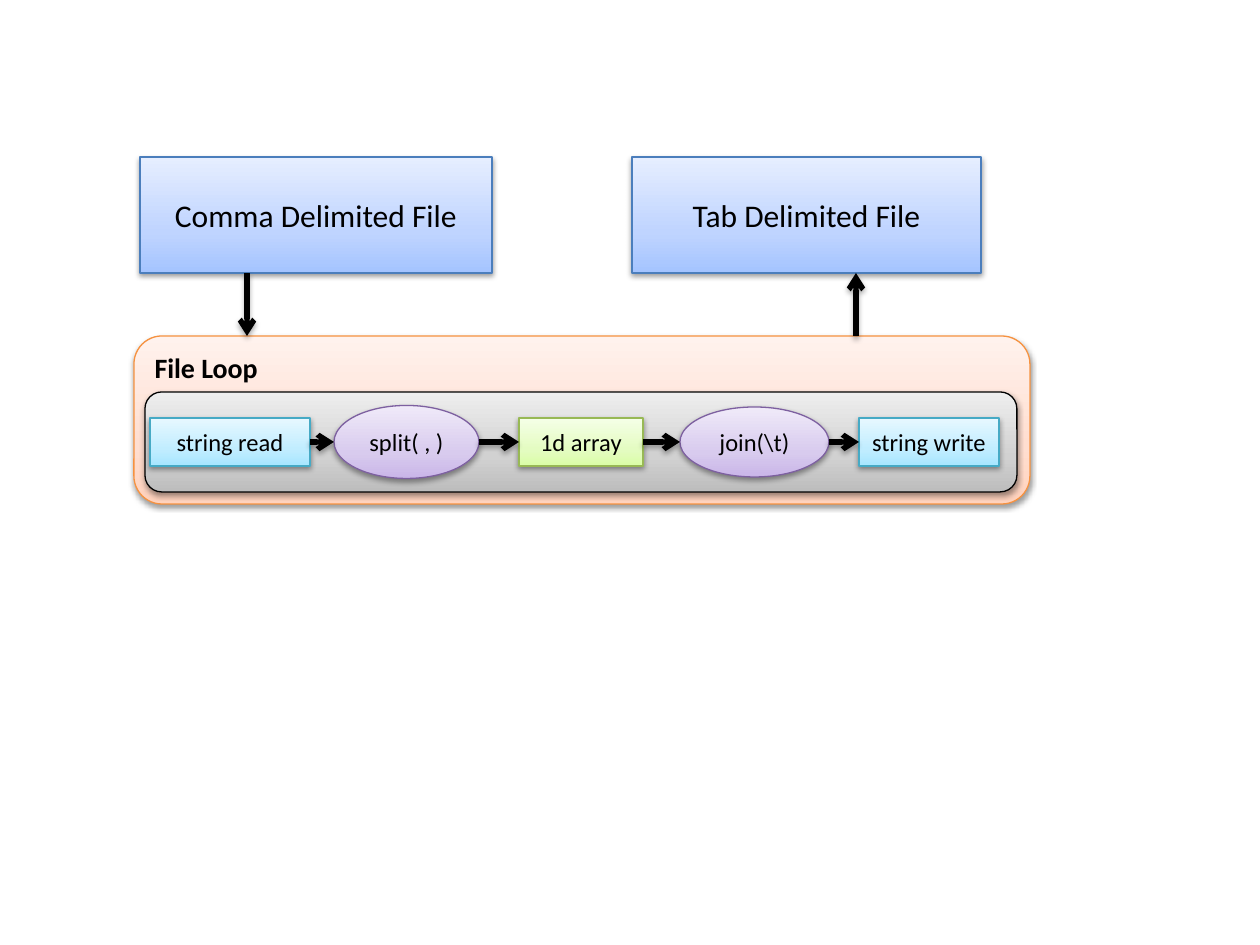
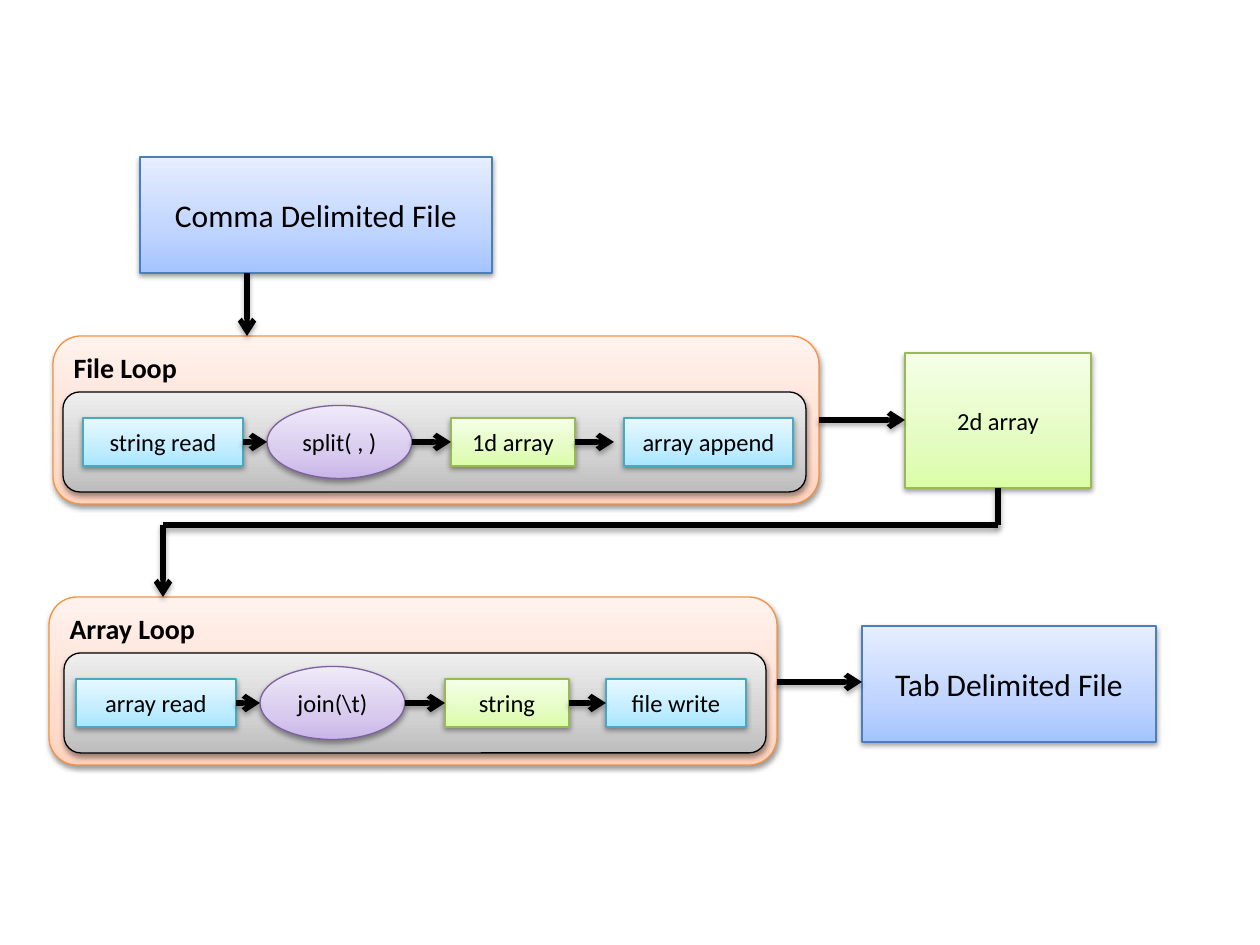
from collections import namedtuple
from dataclasses import dataclass
from itertools import pairwise

from pptx import Presentation
from pptx.dml.color import RGBColor
from pptx.enum.shapes import MSO_CONNECTOR, MSO_SHAPE
from pptx.enum.text import MSO_ANCHOR, PP_ALIGN
from pptx.oxml import parse_xml
from pptx.oxml.ns import nsdecls
from pptx.util import Emu, Pt

PIXEL = 914400 // 126

Box = namedtuple("Box", "left top width height")
Look = namedtuple("Look", "outline low middle high")
Step = namedtuple("Step", "gap width height look text clearance", defaults=[0])


@dataclass(frozen=True)
class Theme:
    font: str = "Calibri"
    ink: str = "000000"
    file_size: int = 18
    title_size: int = 16
    step_size: int = 14
    outline_width: float = 0.75
    arrow_width: float = 3
    shape_shadow: tuple = (20000, 38000)
    arrow_shadow: tuple = (23000, 35000)
    loop: Look = Look("F69240", "FFD2BD", "FFDED0", "FFF2ED")
    tray: Look = Look("000000", "BDBDBD", "D1D1D1", "EEEEEE")
    file: Look = Look("4B7EBC", "A4C4FF", "BFD4FF", "E6EEFF")
    access: Look = Look("46AAC5", "A7E6FF", "C1EDFF", "E7F8FF")
    function: Look = Look("7D60A0", "C9B5E8", "D8CBEE", "F0EAF9")
    data: Look = Look("98B955", "DAFDA7", "E4FCC2", "F5FFE7")


THEME = Theme()


def pixels(*lengths):
    return [Emu(round(length * PIXEL)) for length in lengths]


def add_shadow(item, shadow):
    distance, alpha = shadow
    item._element.spPr.append(parse_xml(
        f'<a:effectLst {nsdecls("a")}><a:outerShdw blurRad="40000" dist="{distance}" '
        f'dir="5400000" rotWithShape="0"><a:srgbClr val="{THEME.ink}">'
        f'<a:alpha val="{alpha}"/></a:srgbClr></a:outerShdw></a:effectLst>'))


def add_gradient(shape, look):
    stops = "".join(
        f'<a:gs pos="{position}"><a:srgbClr val="{colour}"/></a:gs>'
        for position, colour in zip((0, 35000, 100000), look[1:]))
    shape._element.spPr.append(parse_xml(
        f'<a:gradFill {nsdecls("a")} rotWithShape="1"><a:gsLst>{stops}</a:gsLst>'
        '<a:lin ang="16200000" scaled="0"/></a:gradFill>'))


def add_panel(page, preset, box, look):
    shape = page.shapes.add_shape(preset, *pixels(*box))
    add_gradient(shape, look)
    shape.line.color.rgb = RGBColor.from_string(look.outline)
    shape.line.width = Pt(THEME.outline_width)
    add_shadow(shape, THEME.shape_shadow)
    return shape


def write(shape, text, size, bold=False, align=PP_ALIGN.CENTER, anchor=MSO_ANCHOR.MIDDLE):
    frame = shape.text_frame
    frame.vertical_anchor = anchor
    para = frame.paragraphs[0]
    para.text = text
    para.alignment = align
    para.font.name = THEME.font
    para.font.size = Pt(size)
    para.font.bold = bold
    para.font.color.rgb = RGBColor.from_string(THEME.ink)


def add_line(page, start, end, arrow=True):
    line = page.shapes.add_connector(MSO_CONNECTOR.STRAIGHT, *pixels(*start, *end))
    line.line.color.rgb = RGBColor.from_string(THEME.ink)
    line.line.width = Pt(THEME.arrow_width)
    if arrow:
        line.line._get_or_add_ln().append(
            parse_xml(f'<a:tailEnd {nsdecls("a")} type="arrow"/>'))
    add_shadow(line, THEME.arrow_shadow)


def add_route(page, points):
    legs = list(pairwise(points))
    for number, (start, end) in enumerate(legs, 1):
        add_line(page, start, end, arrow=number == len(legs))


def add_file(page, box, text):
    write(add_panel(page, MSO_SHAPE.RECTANGLE, box, THEME.file), text, THEME.file_size)


def add_step(page, box, look, text):
    preset = MSO_SHAPE.OVAL if look is THEME.function else MSO_SHAPE.RECTANGLE
    write(add_panel(page, preset, box, look), text, THEME.step_size)


def add_loop(page, box, title, tray_inset, tray_width, steps):
    panel = add_panel(page, MSO_SHAPE.ROUNDED_RECTANGLE, box, THEME.loop)
    write(panel, title, THEME.title_size, True, PP_ALIGN.LEFT, MSO_ANCHOR.TOP)
    tray = Box(box.left + tray_inset, box.top + 56, tray_width, 100)
    add_panel(page, MSO_SHAPE.ROUNDED_RECTANGLE, tray, THEME.tray)
    middle = tray.top + tray.height / 2
    edge = box.left
    for index, step in enumerate(steps):
        left = edge + step.gap
        add_step(page, Box(left, middle - step.height / 2, step.width, step.height),
                 step.look, step.text)
        if index:
            add_line(page, (edge, middle), (left - step.clearance, middle))
        edge = left + step.width


def add_source(page):
    add_file(page, Box(140, 157, 352, 116), "Comma Delimited File")
    add_line(page, (247, 273), (247, 336))


def build_direct_page(page):
    add_loop(page, Box(134, 336, 896, 168), "File Loop", 11, 872, [
        Step(16, 160, 48, THEME.access, "string read"),
        Step(24, 145, 73, THEME.function, "split( , )"),
        Step(40, 124, 48, THEME.data, "1d array"),
        Step(37, 149, 70, THEME.function, "join(\\t)"),
        Step(30, 140, 48, THEME.access, "string write"),
    ])
    add_source(page)
    add_file(page, Box(632, 157, 349, 116), "Tab Delimited File")
    add_line(page, (856, 336), (856, 273))


def build_array_page(page):
    add_loop(page, Box(53, 336, 766, 168), "File Loop", 10, 743, [
        Step(30, 160, 48, THEME.access, "string read"),
        Step(24, 145, 73, THEME.function, "split( , )"),
        Step(39, 124, 48, THEME.data, "1d array"),
        Step(49, 169, 48, THEME.access, "array append", 10),
    ])
    add_source(page)
    add_loop(page, Box(49, 597, 728, 168), "Array Loop", 15, 702, [
        Step(27, 160, 48, THEME.access, "array read"),
        Step(24, 145, 73, THEME.function, "join(\\t)"),
        Step(40, 124, 48, THEME.data, "string"),
        Step(37, 140, 48, THEME.access, "file write"),
    ])
    add_step(page, Box(905, 353, 186, 135), THEME.data, "2d array")
    add_file(page, Box(862, 626, 294, 116), "Tab Delimited File")
    add_line(page, (819, 420), (905, 420))
    add_line(page, (777, 682), (862, 682))
    add_route(page, [(998, 488), (998, 525), (163, 525), (163, 597)])


deck = Presentation()
deck.slide_width, deck.slide_height = pixels(1260, 945)
for build in (build_direct_page, build_array_page):
    build(deck.slides.add_slide(deck.slide_layouts[6]))
deck.save("out.pptx")
